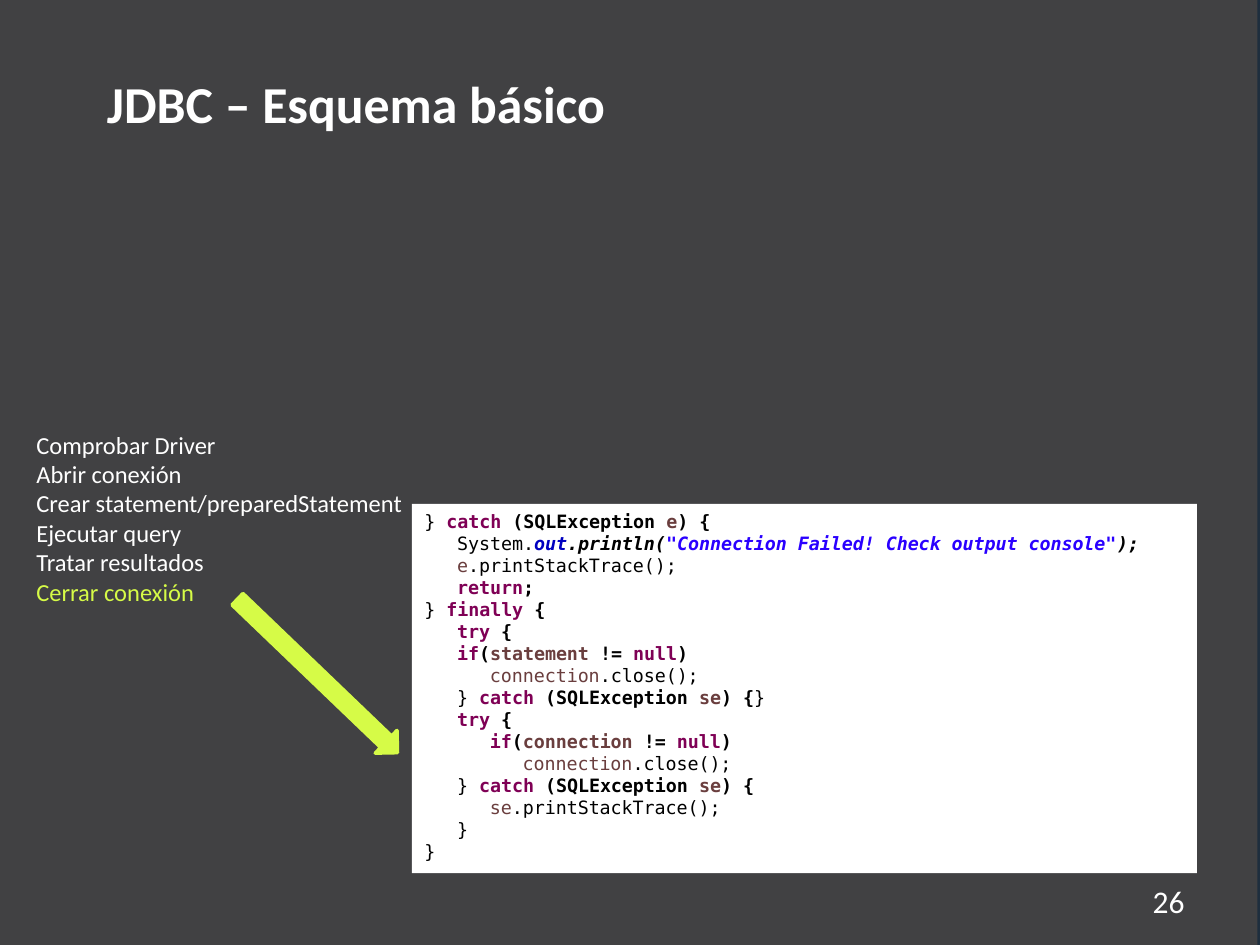
from dataclasses import dataclass
from typing import NamedTuple

from pptx import Presentation
from pptx.dml.color import RGBColor
from pptx.enum.shapes import MSO_SHAPE
from pptx.enum.text import MSO_ANCHOR, PP_ALIGN
from pptx.util import Inches, Pt

COLORS = {
    "edge": "1E2E3E",
    "panel": "414143",
    "white": "FFFFFF",
    "accent": "D6FB47",
    "black": "000000",
    "keyword": "7F0055",
    "variable": "6A3E3E",
    "field": "0000C0",
    "string": "2A00FF",
}
TEXT_FONT = "Calibri"
CODE_FONT = "DejaVu Sans Mono"
CODE_SIZE = 10.5
INDENT = Inches(0.26)  # three monospaced characters


class Box(NamedTuple):
    left: float
    top: float
    width: float
    height: float

    def lengths(self) -> list:
        return [Inches(value) for value in self]


class Style(NamedTuple):
    color: str = "black"
    bold: bool = False
    italic: bool = False


@dataclass
class Label:
    box: Box
    lines: list[tuple[str, str]]  # text and colour name
    size: float
    bold: bool = False
    align: PP_ALIGN = PP_ALIGN.LEFT


@dataclass
class CodeLine:
    level: int
    tokens: list[tuple[str, Style]]


def rgb(name: str) -> RGBColor:
    return RGBColor.from_string(COLORS[name])


def add_block(slide, kind: MSO_SHAPE, box: Box, color: str):
    block = slide.shapes.add_shape(kind, *box.lengths())
    block.shadow.inherit = False
    block.fill.solid()
    block.fill.fore_color.rgb = rgb(color)
    block.line.fill.background()
    return block


def add_label(slide, label: Label) -> None:
    frame = slide.shapes.add_textbox(*label.box.lengths()).text_frame
    frame.word_wrap = True
    for index, (text, color) in enumerate(label.lines):
        paragraph = frame.paragraphs[0] if index == 0 else frame.add_paragraph()
        paragraph.text = text
        paragraph.alignment = label.align
        font = paragraph.font
        font.name, font.size, font.bold = TEXT_FONT, Pt(label.size), label.bold
        font.color.rgb = rgb(color)


def add_code(slide, box: Box, lines: list[CodeLine]) -> None:
    frame = add_block(slide, MSO_SHAPE.RECTANGLE, box, "white").text_frame
    frame.word_wrap = True
    frame.vertical_anchor = MSO_ANCHOR.TOP
    for index, line in enumerate(lines):
        paragraph = frame.paragraphs[0] if index == 0 else frame.add_paragraph()
        paragraph.alignment = PP_ALIGN.LEFT
        paragraph.font.name, paragraph.font.size = CODE_FONT, Pt(CODE_SIZE)
        properties = paragraph._p.get_or_add_pPr()
        properties.set("marL", str(INDENT * line.level))
        properties.set("indent", "0")
        for text, style in line.tokens:
            run = paragraph.add_run()
            run.text = text
            run.font.bold, run.font.italic = style.bold, style.italic
            run.font.color.rgb = rgb(style.color)


# Code styles
PLAIN = Style()
STRONG = Style(bold=True)
KEYWORD = Style("keyword", bold=True)
VARIABLE = Style("variable")
STRONG_VARIABLE = Style("variable", bold=True)
FIELD = Style("field", bold=True, italic=True)
CALL = Style(bold=True, italic=True)
STRING = Style("string", bold=True, italic=True)


# Code lines that come back
def catch(level: int, name: str) -> CodeLine:
    return CodeLine(level, [("} ", PLAIN), ("catch", KEYWORD), (" (SQLException ", STRONG),
                            (name, STRONG_VARIABLE), (") {", STRONG)])


def call(level: int, name: str, method: str) -> CodeLine:
    return CodeLine(level, [(name, VARIABLE), (f".{method}();", PLAIN)])


def if_not_null(level: int, name: str) -> CodeLine:
    return CodeLine(level, [("if", KEYWORD), ("(", STRONG), (f"{name} ", STRONG_VARIABLE),
                            ("!= ", STRONG), ("null", KEYWORD), (")", STRONG)])


def try_block(level: int) -> CodeLine:
    return CodeLine(level, [("try ", KEYWORD), ("{", STRONG)])


def close_brace(level: int) -> CodeLine:
    return CodeLine(level, [("}", PLAIN)])


empty_catch = catch(1, "se")
empty_catch.tokens.append(("}", PLAIN))

CODE = [
    catch(0, "e"),
    CodeLine(1, [("System.", PLAIN), ("out", FIELD), (".println(", CALL),
                 ('"Connection Failed! Check output console"', STRING), (");", CALL)]),
    call(1, "e", "printStackTrace"),
    CodeLine(1, [("return", KEYWORD), (";", STRONG)]),
    CodeLine(0, [("} ", PLAIN), ("finally", KEYWORD), (" {", STRONG)]),
    try_block(1),
    if_not_null(1, "statement"),
    call(2, "connection", "close"),
    empty_catch,
    try_block(1),
    if_not_null(2, "connection"),
    call(3, "connection", "close"),
    catch(1, "se"),
    call(2, "se", "printStackTrace"),
    close_brace(1),
    close_brace(0),
]

STEPS = ["Comprobar Driver", "Abrir conexión", "Crear statement/preparedStatement",
         "Ejecutar query", "Tratar resultados", "Cerrar conexión"]
CURRENT_STEP = "Cerrar conexión"

LABELS = [
    Label(Box(0.75, 0.52, 8.11, 0.55), [("JDBC – Esquema básico", "white")], 29.6, bold=True),
    Label(Box(8.54, 6.95, 0.96, 0.4), [("26", "white")], 18, align=PP_ALIGN.RIGHT),
    Label(Box(0.19, 3.36, 4.02, 1.51),
          [(step, "accent" if step == CURRENT_STEP else "white") for step in STEPS], 14),
]


def main() -> None:
    deck = Presentation()
    deck.slide_width, deck.slide_height = Inches(10), Inches(7.5)
    slide = deck.slides.add_slide(deck.slide_layouts[6])

    # Dark panel that leaves a thin edge on the right
    add_block(slide, MSO_SHAPE.RECTANGLE, Box(-0.02, 0, 10.02, 7.5), "edge")
    add_block(slide, MSO_SHAPE.RECTANGLE, Box(-0.04, 0, 10.02, 7.5), "panel")

    # Title, page number and list of steps
    for label in LABELS:
        add_label(slide, label)

    # Arrow from the current step to its code
    arrow = add_block(slide, MSO_SHAPE.RIGHT_ARROW, Box(1.64, 5.24, 1.76, 0.25), "accent")
    arrow.rotation = 43.8
    arrow.line.color.rgb = rgb("accent")
    arrow.line.width = Pt(2)

    # Code listing
    add_code(slide, Box(3.27, 4, 6.23, 2.93), CODE)

    deck.save("out.pptx")


if __name__ == "__main__":
    main()
